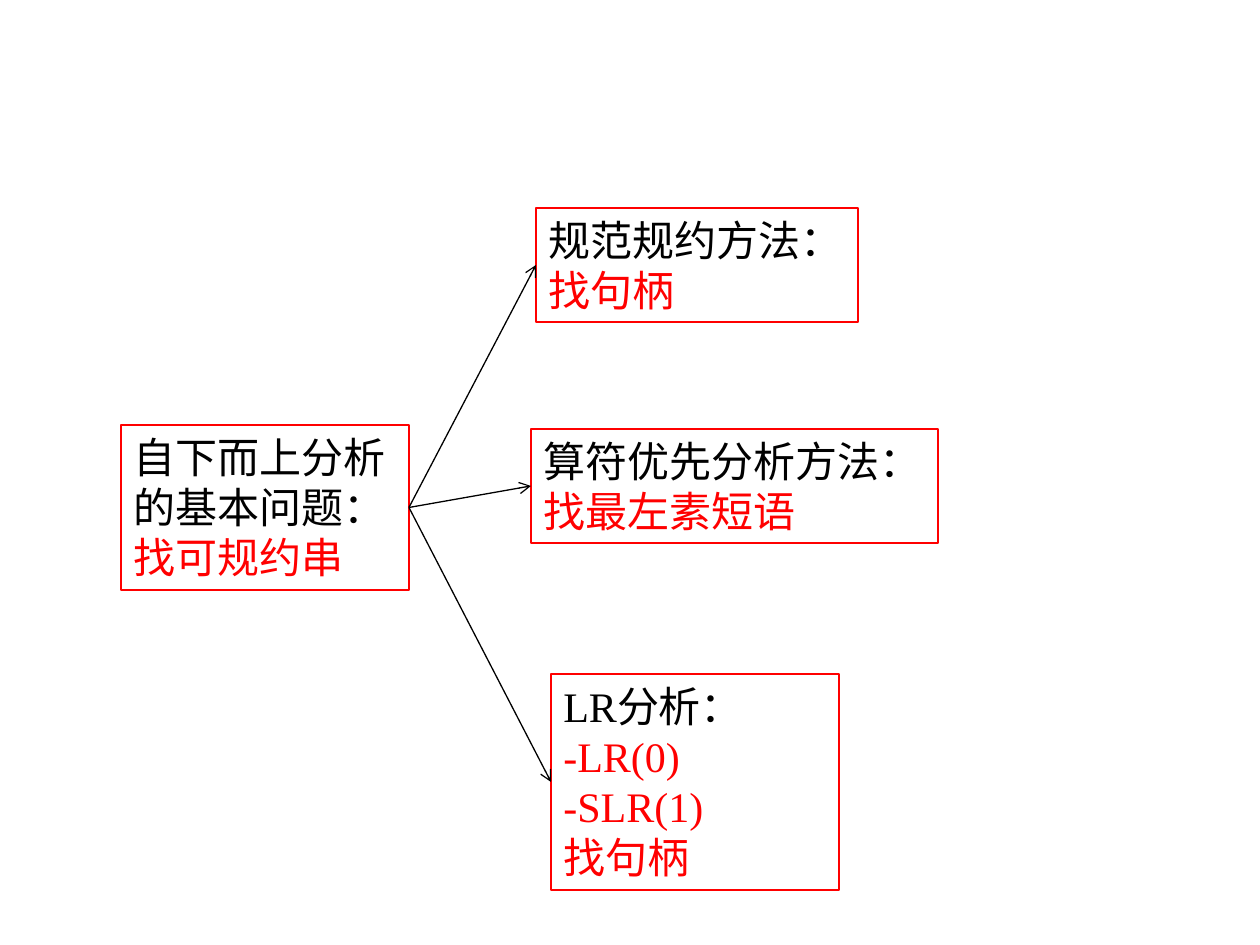
from lxml.etree import SubElement
from pptx import Presentation
from pptx.dml.color import RGBColor
from pptx.enum.shapes import MSO_CONNECTOR
from pptx.enum.text import MSO_ANCHOR, MSO_AUTO_SIZE
from pptx.oxml.ns import qn
from pptx.util import Emu, Pt

PX = 914400 // 126  # one pixel in EMU
BLACK, RED = "000000", "FF0000"


def color(hex_string):
    return RGBColor.from_string(hex_string)


def add_text_box(slide, lines, left, top, width, height, wrap=True, size=24,
                 font="Times New Roman", heading=BLACK, detail=RED, outline=RED):
    box = slide.shapes.add_textbox(left * PX, top * PX, width * PX, height * PX)
    box.line.color.rgb = color(outline)
    box.line.width = Pt(0.75)
    frame = box.text_frame
    frame.word_wrap = wrap
    frame.auto_size = MSO_AUTO_SIZE.SHAPE_TO_FIT_TEXT
    frame.vertical_anchor = MSO_ANCHOR.TOP
    frame.text = "\n".join(lines)
    for index, paragraph in enumerate(frame.paragraphs):
        for run in paragraph.runs:
            run.font.size = Pt(size)
            run.font.name = font
            run.font.color.rgb = color(detail if index else heading)
    return box


presentation = Presentation()
presentation.slide_width = Emu(1260 * PX)
presentation.slide_height = Emu(945 * PX)
slide = presentation.slides.add_slide(presentation.slide_layouts[6])

# Basic problem on the left
problem = add_text_box(slide, ["自下而上分析的基本问题：", "找可规约串"], 121, 425, 288, 165)

# Analysis methods on the right
methods = [
    add_text_box(slide, ["规范规约方法：", "找句柄"], 536, 208, 322, 114, wrap=False),
    add_text_box(slide, ["算符优先分析方法：", "找最左素短语"], 531, 429, 407, 114, wrap=False),
    add_text_box(slide, ["LR分析：", "-LR(0)", "-SLR(1)", "找句柄"], 551, 674, 288, 216),
]

# Arrows from the problem to each method
for method in methods:
    arrow = slide.shapes.add_connector(MSO_CONNECTOR.STRAIGHT, 0, 0, 0, 0)
    arrow.begin_connect(problem, 3)
    arrow.end_connect(method, 1)
    arrow.line.color.rgb = color(BLACK)
    arrow.line.width = Pt(0.75)
    SubElement(arrow.line._get_or_add_ln(), qn("a:tailEnd"), type="arrow")
    SubElement(arrow._element.spPr, qn("a:effectLst"))

presentation.save("out.pptx")
